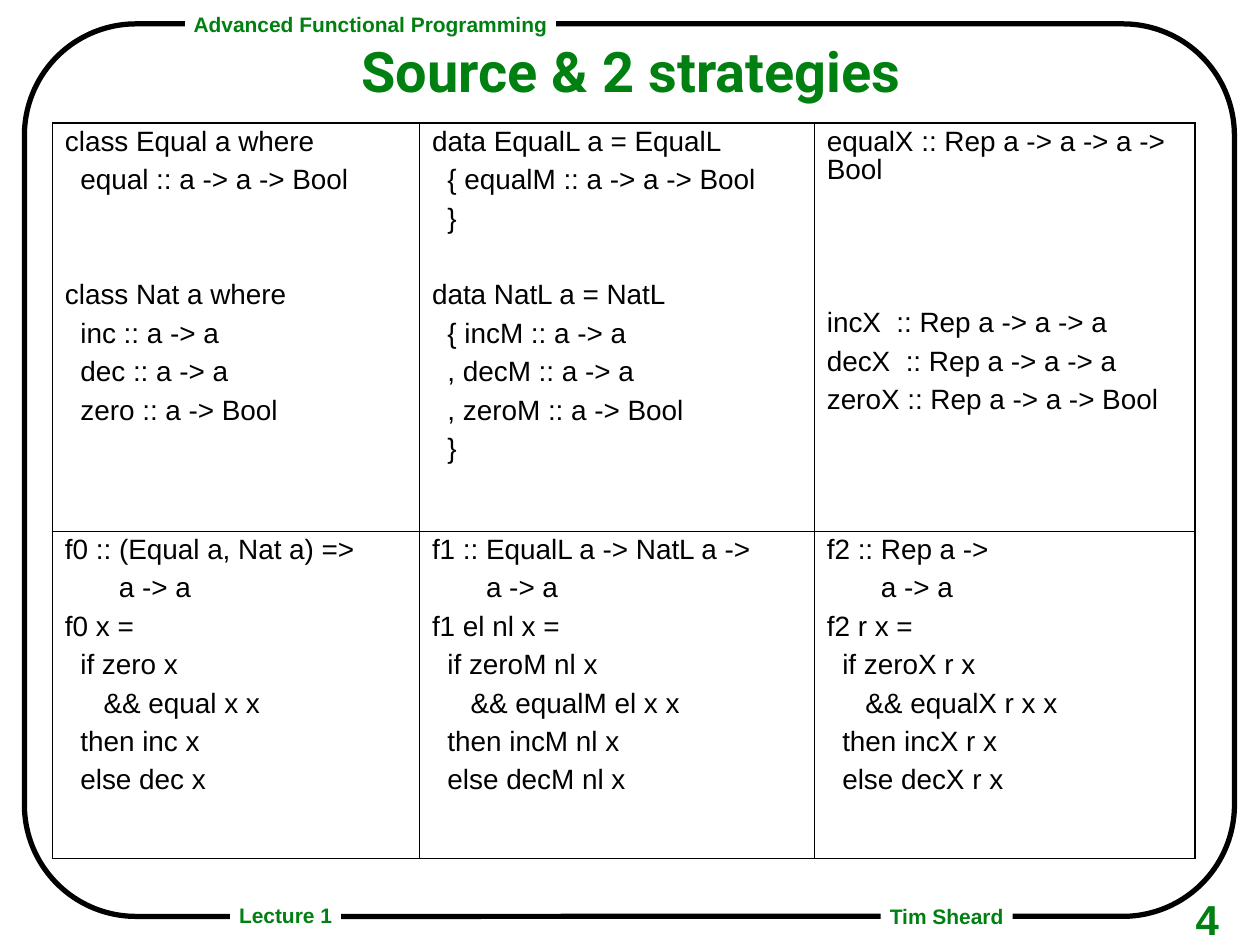
from lxml import etree
from pptx import Presentation
from pptx.dml.color import RGBColor
from pptx.enum.shapes import MSO_SHAPE
from pptx.enum.text import MSO_ANCHOR, PP_ALIGN
from pptx.oxml.ns import qn
from pptx.util import Pt

ROUNDED = MSO_SHAPE.ROUNDED_RECTANGLE
RECTANGLE = MSO_SHAPE.RECTANGLE
MIDDLE = MSO_ANCHOR.MIDDLE
TOP = MSO_ANCHOR.TOP
CENTER = PP_ALIGN.CENTER
LEFT = PP_ALIGN.LEFT

COLORS = {"green": "008011", "black": "000000", "white": "FFFFFF"}
COLUMN_WIDTHS = [210.2, 226.1, 218]
ROW_HEIGHTS = [233.8, 187.7]
OUTER_LINE = 1.08
INNER_LINE = 0.45
CODE_GAP = 6
CODE_PITCH = 22

CODE = [
    [
        """class Equal a where
  equal :: a -> a -> Bool


class Nat a where
  inc :: a -> a
  dec :: a -> a
  zero :: a -> Bool""",
        """data EqualL a = EqualL
  { equalM :: a -> a -> Bool
  }

data NatL a = NatL
  { incM :: a -> a
  , decM :: a -> a
  , zeroM :: a -> Bool
  }""",
        """equalX :: Rep a -> a -> a -> Bool



incX  :: Rep a -> a -> a
decX  :: Rep a -> a -> a
zeroX :: Rep a -> a -> Bool""",
    ],
    [
        """f0 :: (Equal a, Nat a) =>
       a -> a
f0 x =
  if zero x
     && equal x x
  then inc x
  else dec x""",
        """f1 :: EqualL a -> NatL a ->
       a -> a
f1 el nl x =
  if zeroM nl x
     && equalM el x x
  then incM nl x
  else decM nl x""",
        """f2 :: Rep a ->
       a -> a
f2 r x =
  if zeroX r x
     && equalX r x x
  then incX r x
  else decX r x""",
    ],
]


def color(name):
    return RGBColor.from_string(COLORS[name])


def style_font(font, name, size, color_name, bold=False):
    font.name = name
    font.size = Pt(size)
    font.bold = bold
    font.color.rgb = color(color_name)


def add_frame(page):
    frame = page.shapes.add_shape(ROUNDED, Pt(14), Pt(13.7), Pt(692.9), Pt(511.2))
    frame.shadow.inherit = False
    frame.adjustments[0] = 0.125
    frame.fill.background()
    frame.line.color.rgb = color("black")
    frame.line.width = Pt(3)


def write_heading(box, text, font, size, spacing, align, anchor):
    text_frame = box.text_frame
    text_frame.margin_left = text_frame.margin_right = Pt(5)
    text_frame.margin_top = text_frame.margin_bottom = Pt(2.2)
    text_frame.vertical_anchor = anchor
    text_frame.text = text
    para = text_frame.paragraphs[0]
    para.alignment = align
    para.line_spacing = spacing
    style_font(para.runs[0].font, font, size, "green", True)


def add_label(page, text, left, top, width):
    box = page.shapes.add_shape(RECTANGLE, Pt(left), Pt(top), Pt(width), Pt(18))
    box.shadow.inherit = False
    box.fill.solid()
    box.fill.fore_color.rgb = color("white")
    box.line.fill.background()
    box.text_frame.word_wrap = False
    write_heading(box, text, "Arial", 12, 0.97, CENTER, MIDDLE)


def add_text(page, text, left, top, width, height, font, size, spacing, align):
    box = page.shapes.add_textbox(Pt(left), Pt(top), Pt(width), Pt(height))
    box.text_frame.word_wrap = True
    write_heading(box, text, font, size, spacing, align, TOP)


def set_borders(cell, widths):
    properties = cell._tc.get_or_add_tcPr()
    for index, (side, width) in enumerate(widths.items()):
        line = etree.Element(qn(f"a:ln{side}"), w=str(int(Pt(width))))
        fill = etree.SubElement(line, qn("a:solidFill"))
        etree.SubElement(fill, qn("a:srgbClr"), val=COLORS["black"])
        properties.insert(index, line)


def write_code(cell, code):
    text_frame = cell.text_frame
    para = text_frame.paragraphs[0]
    gap = 0
    for index, line in enumerate(code.split("\n")):
        if not line:
            gap += CODE_PITCH
            continue
        if index:
            para = text_frame.add_paragraph()
        para.text = line
        para.line_spacing = 0.9
        para.space_before = Pt(gap)
        style_font(para.runs[0].font, "Arial", 16, "black")
        gap = CODE_GAP


def add_code_table(page):
    rows, columns = len(ROW_HEIGHTS), len(COLUMN_WIDTHS)
    table = page.shapes.add_table(
        rows, columns, Pt(30), Pt(70.3), Pt(sum(COLUMN_WIDTHS)), Pt(sum(ROW_HEIGHTS))
    ).table
    table.first_row = False
    table.horz_banding = False
    for column, width in zip(table.columns, COLUMN_WIDTHS):
        column.width = Pt(width)
    for row, height in zip(table.rows, ROW_HEIGHTS):
        row.height = Pt(height)
    for row, codes in enumerate(CODE):
        for column, code in enumerate(codes):
            cell = table.cell(row, column)
            cell.margin_left = cell.margin_right = Pt(7.2)
            cell.margin_top = cell.margin_bottom = Pt(3.6)
            cell.fill.background()
            outer = {
                "L": column == 0,
                "R": column == columns - 1,
                "T": row == 0,
                "B": row == rows - 1,
            }
            set_borders(cell, {
                side: OUTER_LINE if is_outer else INNER_LINE
                for side, is_outer in outer.items()
            })
            write_code(cell, code)


def main():
    deck = Presentation()
    deck.slide_width = Pt(721.5)
    deck.slide_height = Pt(541.25)
    page = deck.slides.add_slide(deck.slide_layouts[6])
    add_frame(page)
    add_label(page, "Advanced Functional Programming", 106, 5.5, 212.4)
    add_label(page, "Tim Sheard", 504.3, 516.2, 75.6)
    add_label(page, "Lecture 1", 131.8, 515.9, 63.4)
    add_text(page, "4", 679.7, 508.3, 53.3, 33.8, "Arial", 24, 1.04, LEFT)
    add_text(page, "Source & 2 strategies", 184.4, 23.8, 354.2, 37.4,
             "Roboto", 32, 0.87, CENTER)
    add_code_table(page)
    deck.save("out.pptx")


if __name__ == "__main__":
    main()
